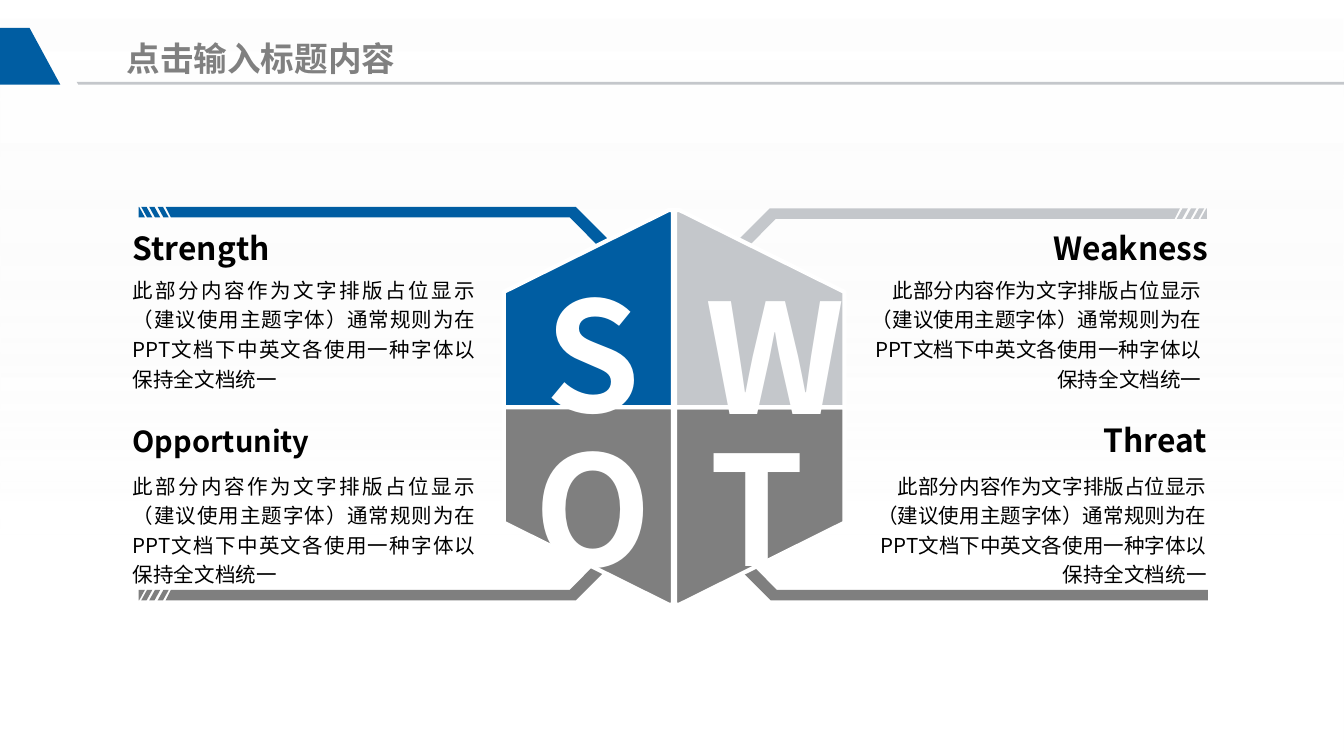
from dataclasses import dataclass

from lxml import etree
from pptx import Presentation
from pptx.dml.color import RGBColor
from pptx.enum import shapes, text
from pptx.oxml import ns
from pptx.util import Cm, Pt


@dataclass(frozen=True)
class Theme:
    blue: RGBColor = RGBColor(0x00, 0x5D, 0xA2)
    silver: RGBColor = RGBColor(0xC4, 0xC7, 0xCB)
    gray: RGBColor = RGBColor(0x7F, 0x7F, 0x7F)
    title: RGBColor = RGBColor(0x80, 0x80, 0x80)
    black: RGBColor = RGBColor(0, 0, 0)
    white: RGBColor = RGBColor(0xFF, 0xFF, 0xFF)
    mist: RGBColor = RGBColor(0xF2, 0xF2, 0xF2)
    font: str = "Noto Sans CJK SC"
    title_size: float = 18
    heading_size: float = 17
    long_heading_size: float = 15.5
    body_size: float = 11
    letter_size: float = 81.6


theme = Theme()
LEFT, RIGHT, CENTER, JUSTIFY = (
    text.PP_ALIGN.LEFT, text.PP_ALIGN.RIGHT, text.PP_ALIGN.CENTER, text.PP_ALIGN.JUSTIFY)

presentation = Presentation()
presentation.slide_width, presentation.slide_height = Cm(25.4), Cm(14.29)
slide = presentation.slides.add_slide(presentation.slide_layouts[6])


def add_outline(contours, color, origin=(0, 0), flip=(1, 1)):
    """Draw closed contours, given in cm from origin and mirrored by flip."""
    placed = [[tuple(Cm(o + f * v) for o, f, v in zip(origin, flip, point))
               for point in contour] for contour in contours]
    builder = slide.shapes.build_freeform(*placed[0][0], scale=1.0)
    for number, contour in enumerate(placed):
        if number:
            builder.move_to(*contour[0])
        builder.add_line_segments(contour[1:], close=True)
    shape = builder.convert_to_shape()
    shape.shadow.inherit = False
    shape.fill.solid()
    shape.fill.fore_color.rgb = color
    shape.line.fill.background()
    return shape


def add_text(content, box, size, color, align=LEFT, bold=True, spacing=None,
             insets=(0, 0), anchor=text.MSO_ANCHOR.TOP):
    frame = slide.shapes.add_textbox(*map(Cm, box)).text_frame
    side, edge = map(Cm, insets)
    frame_format = {"word_wrap": True, "vertical_anchor": anchor,
                    "margin_left": side, "margin_right": side,
                    "margin_top": edge, "margin_bottom": edge}
    paragraph = frame.paragraphs[0]
    run = paragraph.add_run()
    run.text = content
    run.font.color.rgb = color
    for target, values in (
            (frame, frame_format),
            (paragraph, {"alignment": align, "line_spacing": spacing}),
            (run.font, {"name": theme.font, "size": Pt(size), "bold": bold})):
        for name, value in values.items():
            setattr(target, name, value)
    east_asian = etree.SubElement(run.font._element, ns.qn("a:ea"))
    east_asian.set("typeface", theme.font)


# Background wash
wash = slide.shapes.add_shape(shapes.MSO_SHAPE.RECTANGLE, 0, 0,
                              presentation.slide_width, presentation.slide_height)
wash.shadow.inherit = False
wash.line.fill.background()
wash.fill.gradient()
wash.fill.gradient_angle = 270
for stop, position, color, alpha in zip(
        wash.fill.gradient_stops, (0, 0.71), (theme.white, theme.mist), (55000, 0)):
    stop.position = position
    stop.color.rgb = color
    color_element = wash._element.findall(".//" + ns.qn("a:srgbClr"))[-1 if position else 0]
    etree.SubElement(color_element, ns.qn("a:alpha")).set("val", str(alpha))

# Header
add_outline([[(1.45, 1.55), (25.4, 1.55), (25.4, 1.6), (1.48, 1.6)]], theme.silver)
add_outline([[(0.56, 0.53), (1.14, 1.6), (0, 1.6), (0, 0.53)]], theme.blue)

# Brackets, from the outer end of the bar to the centre of the hexagon
BAR = 0.2
elbow = [(8.26, 0), (10.13, 1.87), (10.13, 3.73), (9.93, 3.73), (9.93, 2), (8.15, BAR)]
stripes = [[(x, 0), (x + 0.1, 0), (x + 0.21, BAR), (x + 0.11, BAR)]
           for x in (0.36, 0.2, 0.05)]
tip = [(0, 0), (0.01, 0), (0.12, BAR), (0, BAR)]
striped = [[(0.51, 0), *elbow, (0.61, BAR)], *stripes, tip]
plain = [[(0, 0), *elbow, (0, BAR)]]
for contours, color, origin, flip in (
        (striped, theme.gray, (2.62, 11.35), (1, -1)),
        (striped, theme.silver, (22.81, 3.94), (-1, 1)),
        (plain, theme.gray, (22.83, 11.35), (-1, -1)),
        (striped, theme.blue, (2.62, 3.91), (1, 1))):
    add_outline(contours, color, origin, flip)

# Headings and descriptions
DESCRIPTION = ("此部分内容作为文字排版占位显示（建议使用主题字体）"
               "通常规则为在PPT文档下中英文各使用一种字体以保持全文档统一")
for heading, size, heading_box, body_corner, heading_align, body_align in (
        ("Strength", theme.heading_size, (2.51, 4.32, 2.72, 0.64), (2.51, 5.16), LEFT, JUSTIFY),
        ("Opportunity", theme.long_heading_size, (2.51, 8, 3.73, 0.64), (2.51, 8.86),
         LEFT, JUSTIFY),
        ("Weakness", theme.heading_size, (19.79, 4.32, 3.05, 0.64), (16.23, 5.16), RIGHT, RIGHT),
        ("Threat", theme.heading_size, (19.08, 7.95, 3.73, 0.64), (16.33, 8.86), RIGHT, RIGHT)):
    add_text(DESCRIPTION, (*body_corner, 6.48, 2.39), theme.body_size, theme.black,
             body_align, bold=False, spacing=1.2)
    add_text(heading, heading_box, size, theme.black, heading_align)

# Hexagon quarters, each drawn outwards from the centre
quarter = [(0, 0), (3.2, 0), (3.2, 2.18), (0.08, 3.73), (0, 3.73)]
quarters = (
    ("S", theme.blue, (-1, -1), (9.53, 4.78, 3.35, 3.28)),
    ("O", theme.gray, (-1, 1), (9.53, 7.7, 3.35, 3.28)),
    ("T", theme.gray, (1, 1), (12.78, 7.7, 3.07, 3.28)),
    ("W", theme.silver, (1, -1), (13.08, 4.83, 2.51, 3.28)))
for letter, color, flip, box in quarters:
    panel = add_outline([quarter], color, (12.74 + 0.02 * flip[0], 7.7), flip)
    panel.line.color.rgb = theme.white
    panel.line.width = Pt(2.25)
for letter, color, flip, box in quarters:
    add_text(letter, box, theme.letter_size, theme.white, CENTER, insets=(0.25, 0.13))

add_text("点击输入标题内容", (2.39, 0.56, 5.92, 1.07), theme.title_size, theme.title,
         insets=(0, 0.13), anchor=text.MSO_ANCHOR.MIDDLE)

presentation.save("out.pptx")
